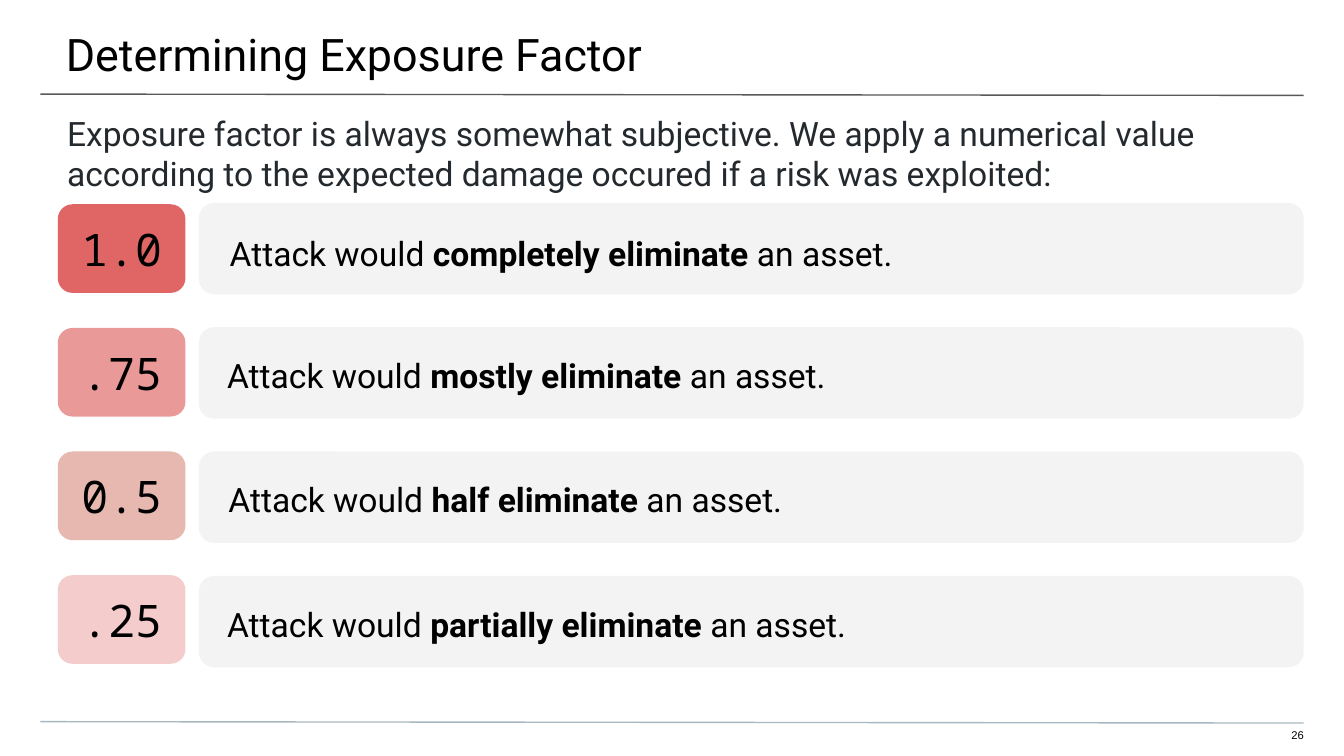
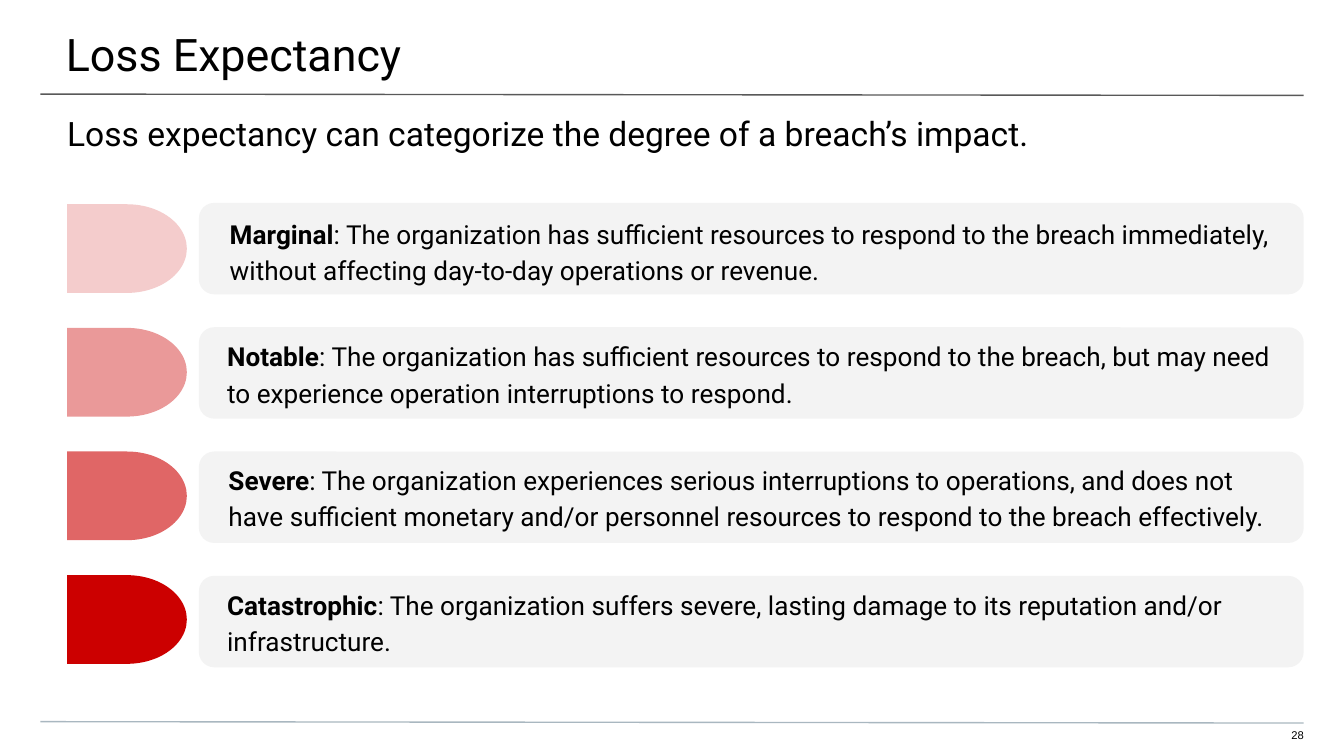
import pptx
import pptx.util
import pptx.dml.color
import pptx.enum.shapes
import pptx.enum.text
import pptx.oxml.ns
from lxml import etree

RGB = pptx.dml.color.RGBColor
SHAPE = pptx.enum.shapes.MSO_SHAPE
ALIGN = pptx.enum.text.PP_ALIGN
ANCHOR = pptx.enum.text.MSO_ANCHOR

# Style
BLACK = RGB(0x00, 0x00, 0x00)
INK = RGB(0x24, 0x29, 0x2E)
WHITE = RGB(0xFF, 0xFF, 0xFF)
PANEL = RGB(0xF3, 0xF3, 0xF3)
RULE = RGB(0x59, 0x59, 0x59)
FOOT = RGB(0xA9, 0xB7, 0xC0)
ROSE = RGB(0xF4, 0xCC, 0xCC)
CLAY = RGB(0xE6, 0xB8, 0xAF)
PINK = RGB(0xEA, 0x99, 0x99)
RED = RGB(0xE0, 0x66, 0x66)
DEEP = RGB(0xCC, 0x00, 0x00)
SANS, MONO, SMALL = "Roboto", "Noto Sans Mono", "Arial"

# Grid: 200 px to the inch
SCALE = 4572
WIDE, HIGH = 2000, 1125
TOP, STEP, ROWS = 302, 185, 4
NUDGE = [(2, 4), (-2, 1), (0, 0), (-2, 1)]  # text offset in each row


def px(num):
    return pptx.util.Emu(num * SCALE)


def row_top(row):
    return TOP + row * STEP


def mark_top(row):
    return TOP + 2 + row * (STEP - 1)


class Deck:
    def __init__(self):
        self.prs = pptx.Presentation()
        self.prs.slide_width, self.prs.slide_height = px(WIDE), px(HIGH)
        self.slide = None

    def fill(self, shape, runs, pads, size, font=SANS, color=BLACK,
             align=ALIGN.LEFT, anchor=ANCHOR.TOP, space=None):
        """Write runs of (text, bold) into a shape."""
        frame = shape.text_frame
        frame.word_wrap = True
        frame.vertical_anchor = anchor
        (frame.margin_left, frame.margin_top,
         frame.margin_right, frame.margin_bottom) = map(px, pads)
        para = frame.paragraphs[0]
        para.alignment = align
        if space:
            para.line_spacing = space
        for words, bold in runs:
            run = para.add_run()
            run.text = words
            run.font.name = font
            run.font.size = pptx.util.Pt(size)
            run.font.bold = bold
            run.font.color.rgb = color

    def text(self, box, runs, pads, size, **look):
        shape = self.slide.shapes.add_textbox(*map(px, box))
        self.fill(shape, runs, pads, size, **look)

    def shape(self, kind, box, color):
        shape = self.slide.shapes.add_shape(kind, *map(px, box))
        shape.shadow.inherit = False
        shape.fill.solid()
        shape.fill.fore_color.rgb = color
        shape.line.fill.background()
        return shape

    def line(self, top, color):
        line = self.slide.shapes.add_connector(
            pptx.enum.shapes.MSO_CONNECTOR.STRAIGHT,
            px(60), px(top), px(1940), px(top + 2))
        line.line.color.rgb = color
        line.line.width = pptx.util.Pt(0.75)
        etree.SubElement(line._element.spPr, pptx.oxml.ns.qn("a:effectLst"))

    def page(self, title, intro, num, color=BLACK):
        """Start a slide with panels, rules, title, intro and number."""
        self.slide = self.prs.slides.add_slide(self.prs.slide_layouts[6])
        back = self.slide.background.fill
        back.solid()
        back.fore_color.rgb = WHITE
        for row in range(ROWS):
            self.shape(SHAPE.ROUNDED_RECTANGLE,
                       (296, row_top(row), 1644, 136), PANEL)
        self.line(140, RULE)
        self.line(1074, FOOT)
        self.text((-2, 0, 2006, 116), [(title, False)],
                  (100, 40, 60, 20), 24)
        self.text((0, 148, WIDE, 80), [(intro, False)],
                  (100, 20, 100, 0), 18, color=color)
        self.text((1882, 1084, 58, 24), [(num, False)], (0, 0, 0, 20), 6,
                  font=SMALL, align=ALIGN.RIGHT)

    def note(self, row, runs, size):
        left, down = NUDGE[row]
        self.text((left, row_top(row) + down, 2006 if row else WIDE, 132),
                  runs, (340, 0, 100, 0), size,
                  anchor=ANCHOR.MIDDLE, space=1.15)

    def chip(self, row, label, color):
        shape = self.shape(SHAPE.ROUNDED_RECTANGLE,
                           (86, mark_top(row), 190, 132), color)
        self.fill(shape, [(label, False)], (20, 20, 20, 20), 24, font=MONO,
                  align=ALIGN.CENTER, anchor=ANCHOR.MIDDLE)

    def tab(self, row, color):
        self.shape(SHAPE.FLOWCHART_DELAY,
                   (100, mark_top(row), 178, 132), color)


FACTORS = [
    ("1.0", "completely eliminate", RED),
    (".75", "mostly eliminate", PINK),
    ("0.5", "half eliminate", CLAY),
    (".25", "partially eliminate", ROSE),
]

LOSSES = [
    ("Marginal", "The organization has sufficient resources to respond to "
     "the breach immediately, without affecting day-to-day operations or "
     "revenue.", ROSE),
    ("Notable", "The organization has sufficient resources to respond to "
     "the breach, but may need to experience operation interruptions to "
     "respond.", PINK),
    ("Severe", "The organization experiences serious interruptions to "
     "operations, and does not have sufficient monetary and/or personnel "
     "resources to respond to the breach effectively.", RED),
    ("Catastrophic", "The organization suffers severe, lasting damage to "
     "its reputation and/or infrastructure.", DEEP),
]


def main():
    deck = Deck()

    # Exposure factor
    deck.page("Determining Exposure Factor",
              "Exposure factor is always somewhat subjective. We apply a "
              "numerical value according to the expected damage occured if "
              "a risk was exploited:", "26", INK)
    for row, (label, degree, color) in enumerate(FACTORS):
        deck.note(row, [("Attack would ", False), (degree, True),
                        (" an asset.", False)], 18)
        deck.chip(row, label, color)

    # Loss expectancy
    deck.page("Loss Expectancy",
              "Loss expectancy can categorize the degree of a breach’s "
              "impact.", "28")
    for row, (name, detail, color) in enumerate(LOSSES):
        deck.note(row, [(name, True), (": " + detail, False)], 14)
        deck.tab(row, color)

    deck.prs.save("out.pptx")


if __name__ == "__main__":
    main()
